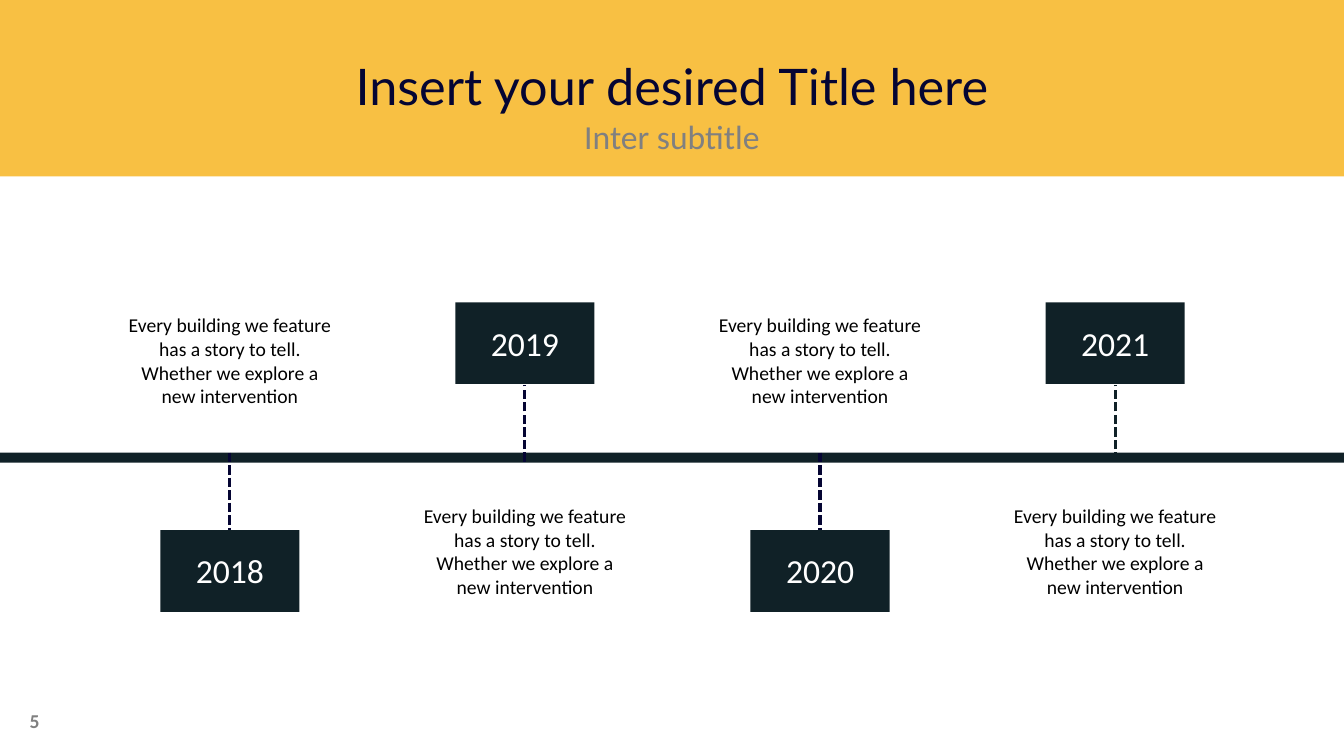
from dataclasses import dataclass

from lxml import etree
from pptx import Presentation
from pptx.dml.color import RGBColor
from pptx.enum.dml import MSO_LINE
from pptx.enum.shapes import MSO_CONNECTOR, MSO_SHAPE
from pptx.enum.text import MSO_ANCHOR, MSO_AUTO_SIZE, PP_ALIGN
from pptx.oxml.ns import qn
from pptx.util import Inches, Pt

RECTANGLE = MSO_SHAPE.RECTANGLE
STRAIGHT = MSO_CONNECTOR.STRAIGHT
DASH = MSO_LINE.SQUARE_DOT
TOP, MIDDLE = MSO_ANCHOR.TOP, MSO_ANCHOR.MIDDLE
CENTER, RIGHT = PP_ALIGN.CENTER, PP_ALIGN.RIGHT
NO_AUTOFIT = MSO_AUTO_SIZE.NONE
TITLE_ONLY = 5

SLIDE_WIDTH, SLIDE_HEIGHT = 13.33, 7.5
BAND_HEIGHT = 1.75
AXIS_TOP, AXIS_HEIGHT = 4.49, 0.1
FIRST_CENTER, LAST_CENTER = 2.28, 11.06
YEAR_WIDTH, YEAR_HEIGHT = 1.38, 0.81
STORY_WIDTH, STORY_HEIGHT = 2.32, 1.06
STORY = "Every building we feature has a story to tell. Whether we explore a new intervention"


@dataclass(frozen=True)
class Theme:
    band: str = "F8C043"
    dark: str = "102127"
    navy: str = "050533"
    gray: str = "808080"
    white: str = "FFFFFF"
    black: str = "000000"
    title_font: str = "Lato"
    body_font: str = "Calibri"
    title_size: int = 36
    heading_size: int = 24
    body_size: int = 14


THEME = Theme()


def write(paragraph, text, *, size, color, font=THEME.body_font, bold=False, align=CENTER):
    paragraph.text = text
    paragraph.alignment = align
    paragraph.font.name = font
    paragraph.font.size = Pt(size)
    paragraph.font.bold = bold
    paragraph.font.color.rgb = RGBColor.from_string(color)


class TimelineSlide:
    def __init__(self, presentation, theme):
        self.theme = theme
        self.slide = presentation.slides.add_slide(presentation.slide_layouts[TITLE_ONLY])
        self.shapes = self.slide.shapes

    def block(self, left, top, width, height, color):
        block = self.shapes.add_shape(
            RECTANGLE, Inches(left), Inches(top), Inches(width), Inches(height))
        block.shadow.inherit = False
        block.fill.solid()
        block.fill.fore_color.rgb = RGBColor.from_string(color)
        block.line.fill.background()

    def dashed_line(self, x, start, end, color):
        stem = self.shapes.add_connector(
            STRAIGHT, Inches(x), Inches(start), Inches(x), Inches(end))
        stem.line.color.rgb = RGBColor.from_string(color)
        stem.line.width = Pt(2.25)
        stem.line.dash_style = DASH
        etree.SubElement(stem._element.spPr, qn("a:effectLst"))

    def label(self, left, top, width, height, text, anchor=TOP, margin=0.1, **style):
        frame = self.shapes.add_textbox(
            Inches(left), Inches(top), Inches(width), Inches(height)).text_frame
        frame.word_wrap = True
        frame.vertical_anchor = anchor
        frame.margin_left = frame.margin_right = Inches(margin)
        write(frame.paragraphs[0], text, **style)

    def title(self, heading, subtitle):
        """Place the heading and subtitle in the title placeholder, above the band."""
        title = self.shapes.title
        title.left, title.top = Inches(0), Inches(0.5)
        title.width, title.height = Inches(SLIDE_WIDTH), Inches(1.25)
        frame = title.text_frame
        frame.auto_size = NO_AUTOFIT
        frame.vertical_anchor = TOP
        write(frame.paragraphs[0], heading, size=self.theme.title_size,
              color=self.theme.navy, font=self.theme.title_font)
        write(frame.add_paragraph(), subtitle, size=self.theme.heading_size,
              color=self.theme.gray)
        title._element.getparent().append(title._element)

    def milestone(self, center, year, above, stem_color):
        """Draw a year block on one side of the axis and its story on the other."""
        theme = self.theme
        year_top, story_top = (3, 4.95) if above else (5.26, 3.06)
        start, end = (4.58, 3.82) if above else (4.49, 5.26)
        year_left = center - YEAR_WIDTH / 2
        self.block(year_left, year_top, YEAR_WIDTH, YEAR_HEIGHT, theme.dark)
        self.dashed_line(center, start, end, stem_color)
        self.label(year_left, year_top + 0.15, YEAR_WIDTH, 0.44, year,
                   size=theme.heading_size, color=theme.white)
        self.label(center - STORY_WIDTH / 2, story_top, STORY_WIDTH, STORY_HEIGHT, STORY,
                   margin=0.12, size=theme.body_size, color=theme.black)


def main():
    presentation = Presentation()
    presentation.slide_width = Inches(SLIDE_WIDTH)
    presentation.slide_height = Inches(SLIDE_HEIGHT)

    timeline = TimelineSlide(presentation, THEME)
    timeline.block(0, 0, SLIDE_WIDTH, BAND_HEIGHT, THEME.band)
    timeline.block(0, AXIS_TOP, SLIDE_WIDTH, AXIS_HEIGHT, THEME.dark)

    milestones = [
        ("2018", False, THEME.navy),
        ("2019", True, THEME.navy),
        ("2020", False, THEME.navy),
        ("2021", True, THEME.dark),
    ]
    step = (LAST_CENTER - FIRST_CENTER) / (len(milestones) - 1)
    for index, (year, above, stem_color) in enumerate(milestones):
        timeline.milestone(FIRST_CENTER + index * step, year, above, stem_color)

    timeline.title("Insert your desired Title here", "Inter subtitle")
    timeline.label(0, 6.95, 0.49, 0.4, "5", anchor=MIDDLE, align=RIGHT, bold=True,
                   size=THEME.body_size, color=THEME.gray)
    presentation.save("out.pptx")


if __name__ == "__main__":
    main()
